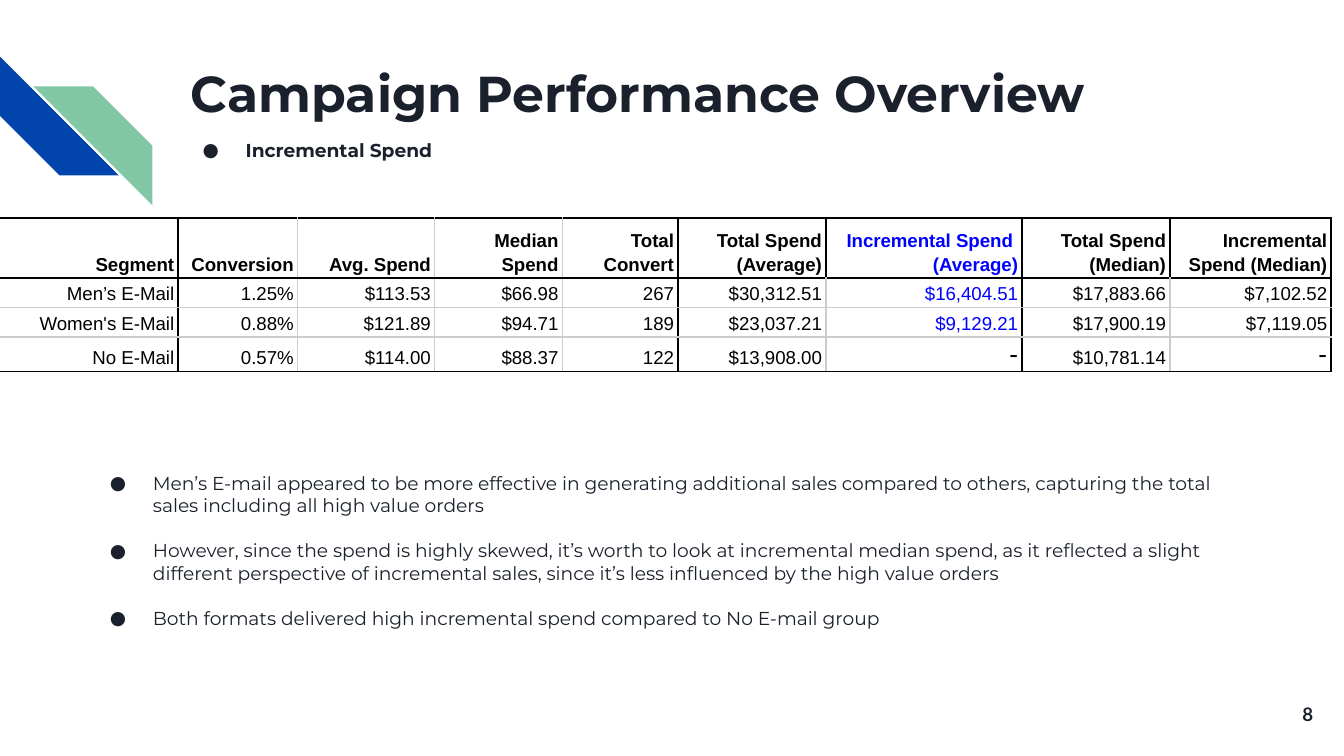
from typing import NamedTuple

from lxml.etree import SubElement
from pptx import Presentation
from pptx.dml.color import RGBColor
from pptx.enum.shapes import MSO_SHAPE as Shape
from pptx.enum.text import MSO_ANCHOR as Anchor, MSO_AUTO_SIZE as AutoSize, PP_ALIGN as Align
from pptx.oxml.ns import qn
from pptx.util import Inches, Pt

COLORS = {"ink": "1B212C", "blue": "0145AC", "green": "82C7A5", "black": "000000",
          "grey": "CCCCCC", "accent": "0000FF"}
SLIDE_W = Inches(10)
SLIDE_H = SLIDE_W * 9 // 16
UNIT = SLIDE_W / 100


class Box(NamedTuple):
    col: float
    row: float
    cols: float
    rows: float

    def emu(self) -> list[int]:
        return [grid(n) for n in self]


class Stripe(NamedTuple):
    box: Box
    color: str
    rotation: int
    flipped: bool


STRIPES = [
    Stripe(Box(0, 4.2, 8.85, 8.85), "blue", 270, False),
    Stripe(Box(2.5, 6.43, 8.85, 8.85), "green", 0, True),
]
FINDINGS = [
    "Men’s E-mail appeared to be more effective in generating additional sales compared to "
    "others, capturing the total sales including all high value orders",
    "However, since the spend is highly skewed, it’s worth to look at incremental median spend, "
    "as it reflected a slight different perspective of incremental sales, since it’s less "
    "influenced by the high value orders",
    "Both formats delivered high incremental spend compared to No E-mail group",
]
TABLE_ROWS = [
    ["Segment", "Conversion", "Avg. Spend", "Median Spend", "Total Convert",
     "Total Spend (Average)", "Incremental Spend \n(Average)", "Total Spend (Median)",
     "Incremental Spend (Median)"],
    ["Men’s E-Mail", "1.25%", "$113.53", "$66.98", "267", "$30,312.51", "$16,404.51",
     "$17,883.66", "$7,102.52"],
    ["Women's E-Mail", "0.88%", "$121.89", "$94.71", "189", "$23,037.21", "$9,129.21",
     "$17,900.19", "$7,119.05"],
    ["No E-Mail", "0.57%", "$114.00", "$88.37", "122", "$13,908.00", "-", "$10,781.14", "-"],
]
COL_WIDTHS = [13.35, 8.9, 10.2, 9.5, 8.6, 11, 14.6, 11, 12]
ROW_HEIGHTS = [4.5, 1.7, 1.7, 2.1]
ACCENT_COL = 6
BLACK_ROW_EDGES = {0, 1, 4}
BLACK_COL_EDGES = {0, 1, 5, 7, 9}
HEADER_COL_EDGES = BLACK_COL_EDGES | {6, 8}


def grid(n: float) -> int:
    return round(n * UNIT)


def rgb(name: str) -> RGBColor:
    return RGBColor.from_string(COLORS[name])


def write(tf, text: str, *, size: float = 10, font: str = "Montserrat", color: str = "ink",
          bold: bool = False, align=Align.LEFT, spacing: float | None = None,
          gap: float = 0, bullet: bool = False) -> None:
    for i, line in enumerate(text.split("\n")):
        p = tf.add_paragraph() if i else tf.paragraphs[0]
        p.alignment = align
        p.space_before = Pt(gap if i else 0)
        if spacing:
            p.line_spacing = spacing
        if bullet:
            add_bullet(p, color, size, font)
        r = p.add_run()
        r.text = line
        r.font.name, r.font.size, r.font.bold = font, Pt(size), bold
        r.font.color.rgb = rgb(color)


def add_bullet(p, color: str, size: float, font: str) -> None:
    pPr = p._p.get_or_add_pPr()
    pPr.set("marL", str(grid(5)))
    pPr.set("indent", str(-grid(3.2)))
    buClr = SubElement(pPr, qn("a:buClr"))
    SubElement(buClr, qn("a:srgbClr"), val=COLORS[color])
    SubElement(pPr, qn("a:buSzPts"), val=str(round(size * 100)))
    SubElement(pPr, qn("a:buFont"), typeface=font)
    SubElement(pPr, qn("a:buChar"), char="●")


def frame(sp, anchor=Anchor.TOP):
    tf = sp.text_frame
    tf.word_wrap, tf.auto_size, tf.vertical_anchor = True, AutoSize.NONE, anchor
    tf.margin_left = tf.margin_right = tf.margin_top = tf.margin_bottom = grid(1)
    return tf


def add_text(s, box: Box, text: str, anchor=Anchor.TOP, **fmt) -> None:
    write(frame(s.shapes.add_textbox(*box.emu()), anchor), text, **fmt)


def add_title(s, box: Box, text: str) -> None:
    sp = s.shapes.title
    sp.left, sp.top, sp.width, sp.height = box.emu()
    write(frame(sp), text, size=27, bold=True, spacing=0.8)


def add_stripe(s, stripe: Stripe) -> None:
    sp = s.shapes.add_shape(Shape.DIAGONAL_STRIPE, *stripe.box.emu())
    sp.adjustments[0] = 0.5
    sp.rotation = stripe.rotation
    sp.shadow.inherit = False
    sp.fill.solid()
    sp.fill.fore_color.rgb = rgb(stripe.color)
    sp.line.fill.background()
    if stripe.flipped:
        sp._element.spPr.find(qn("a:xfrm")).set("flipH", "1")


def set_borders(cell, row: int, col: int) -> None:
    black_cols = BLACK_COL_EDGES if row else HEADER_COL_EDGES
    edges = [("L", col in black_cols), ("R", col + 1 in black_cols),
             ("T", row in BLACK_ROW_EDGES), ("B", row + 1 in BLACK_ROW_EDGES)]
    tcPr = cell._tc.get_or_add_tcPr()
    for i, (side, black) in enumerate(edges):
        ln = SubElement(tcPr, qn(f"a:ln{side}"), w=str(Pt(1)))
        fill = SubElement(ln, qn("a:solidFill"))
        SubElement(fill, qn("a:srgbClr"), val=COLORS["black" if black else "grey"])
        tcPr.insert(i, ln)


def fill_cell(cell, row: int, col: int, text: str) -> None:
    cell.fill.background()
    cell.vertical_anchor = Anchor.BOTTOM
    cell.margin_left = cell.margin_right = grid(0.3)
    cell.margin_top = cell.margin_bottom = grid(0.2)
    dash = text == "-"
    write(cell.text_frame, text, size=14 if dash else 10, font="Arial",
          color="accent" if col == ACCENT_COL and not dash else "black",
          bold=row == 0, align=Align.RIGHT, spacing=None if dash else 1.15)
    set_borders(cell, row, col)


def add_spend_table(s, col: float, row: float) -> None:
    box = Box(col, row, sum(COL_WIDTHS), sum(ROW_HEIGHTS))
    table = s.shapes.add_table(len(ROW_HEIGHTS), len(COL_WIDTHS), *box.emu()).table
    table.first_row = table.horz_banding = False
    for column, width in zip(table.columns, COL_WIDTHS):
        column.width = grid(width)
    for r, (height, texts) in enumerate(zip(ROW_HEIGHTS, TABLE_ROWS)):
        table.rows[r].height = grid(height)
        for c, text in enumerate(texts):
            fill_cell(table.cell(r, c), r, c, text)


def main() -> None:
    prs = Presentation()
    prs.slide_width, prs.slide_height = SLIDE_W, SLIDE_H
    s = prs.slides.add_slide(prs.slide_layouts[5])
    for stripe in STRIPES:
        add_stripe(s, stripe)
    add_title(s, Box(13.2, 4.5, 77, 10), "Campaign Performance Overview")
    add_text(s, Box(12.3, 9.3, 77, 4.2), "Incremental Spend", bold=True, bullet=True)
    add_spend_table(s, -0.1, 16.2)
    add_text(s, Box(5.4, 34.1, 89.3, 19.3), "\n".join(FINDINGS), bullet=True, gap=12.2)
    add_text(s, Box(92.7, 51, 6, 4.3), "8", Anchor.MIDDLE, font="Lato", bold=True,
             align=Align.RIGHT)
    prs.save("out.pptx")


if __name__ == "__main__":
    main()
